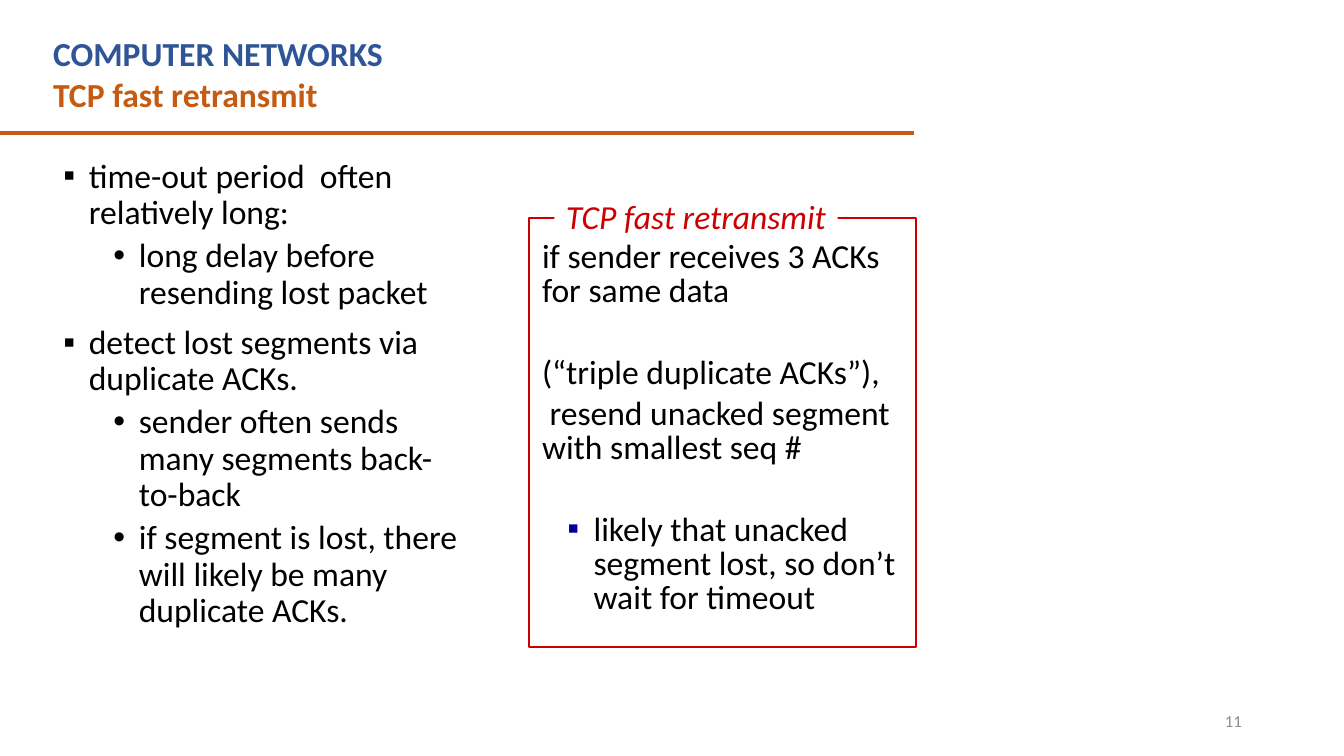
"""Build the TCP fast retransmit slide."""
from lxml.etree import SubElement
from pptx import Presentation
from pptx.dml.color import RGBColor
from pptx.enum.shapes import MSO_CONNECTOR as Connector, MSO_SHAPE as Shape
from pptx.enum.text import MSO_ANCHOR as Anchor, PP_ALIGN as Align
from pptx.oxml.ns import qn
from pptx.util import Cm, Pt

COLORS = {"blue": "2F5597", "orange": "C55A11", "red": "CC0000", "navy": "000099",
          "black": "000000", "gray": "8C8C8C", "white": "FFFFFF"}
FONT = "Calibri"
SUBJECT = "COMPUTER NETWORKS"
TOPIC = "TCP fast retransmit"
PAGE_NUMBER = "11"

REASONS = [
    ("point", "time-out period  often relatively long:"),
    ("detail", "long delay before resending lost packet"),
    ("point", "detect lost segments via duplicate ACKs."),
    ("detail", "sender often sends many segments back-to-back"),
    ("detail", "if segment is lost, there will likely be many duplicate ACKs."),
]
RULE = [
    ("opening", "if sender receives 3 ACKs for same data"),
    ("opening", "(“triple duplicate ACKs”),"),
    ("action", "resend unacked segment with smallest seq #"),
    ("outcome", "likely that unacked segment lost, so don’t wait for timeout"),
]
STYLES = {
    "plain": {},
    "point": {"margin": 0.64, "indent": -0.64, "spacing": 0.9, "before": 10, "bullet": "▪"},
    "detail": {"level": 1, "margin": 1.9, "indent": -0.64, "spacing": 0.9, "before": 5,
               "bullet": "•"},
    "opening": {"spacing": 0.85, "before": 34},
    "action": {"indent": 0.19, "spacing": 0.85, "before": 4.8},
    "outcome": {"level": 1, "margin": 1.3, "indent": -0.66, "spacing": 0.85, "before": 34,
                "bullet": "▪", "bullet_color": "navy"},
}


def rgb(name):
    return RGBColor.from_string(COLORS[name])


def style_paragraph(para, style, first):
    para.level = style.get("level", 0)
    props = para._p.get_or_add_pPr()
    props.set("marL", str(Cm(style.get("margin", 0))))
    props.set("indent", str(Cm(style.get("indent", 0))))
    para.line_spacing = style.get("spacing", 1.0)
    para.space_before = Pt(0 if first else style.get("before", 0))
    if "bullet" in style:
        if "bullet_color" in style:
            tint = SubElement(props, qn("a:buClr"))
            SubElement(tint, qn("a:srgbClr")).set("val", COLORS[style["bullet_color"]])
        SubElement(props, qn("a:buFont")).set("typeface", "Arial")
        SubElement(props, qn("a:buChar")).set("char", style["bullet"])


def write(box, lines, color="black", size=24, bold=False, italic=False,
          align=Align.LEFT, anchor=Anchor.TOP, wrap=True):
    frame = box.text_frame
    frame.word_wrap = wrap
    frame.vertical_anchor = anchor
    frame.text = "\n".join(text for _, text in lines)
    for index, (para, (kind, _)) in enumerate(zip(frame.paragraphs, lines)):
        style_paragraph(para, STYLES[kind], index == 0)
        para.alignment = align
        for span in para.runs:
            span.font.name = FONT
            span.font.size = Pt(size)
            span.font.bold = bold
            span.font.italic = italic
            span.font.color.rgb = rgb(color)


def add_text(page, place, lines, **looks):
    write(page.shapes.add_textbox(*map(Cm, place)), lines, **looks)


def add_box(page, place, fill=None, line=None):
    box = page.shapes.add_shape(Shape.RECTANGLE, *map(Cm, place))
    box.shadow.inherit = False
    if fill:
        box.fill.solid()
        box.fill.fore_color.rgb = rgb(fill)
    else:
        box.fill.background()
    if line:
        box.line.color.rgb = rgb(line)
        box.line.width = Pt(1.5)
    else:
        box.line.fill.background()
    return box


def main():
    deck = Presentation()
    deck.slide_width, deck.slide_height = Cm(33.87), Cm(19.05)
    page = deck.slides.add_slide(deck.slide_layouts[6])

    add_text(page, (1.09, 0.71, 20.83, 1.27), [("plain", SUBJECT)], color="blue", bold=True)
    add_text(page, (1.09, 1.73, 22.23, 1.27), [("plain", TOPIC)], color="orange", bold=True)
    divider = page.shapes.add_connector(Connector.STRAIGHT, Cm(0), Cm(3.36), Cm(23.04), Cm(3.36))
    divider.line.color.rgb = rgb("orange")
    divider.line.width = Pt(3)
    SubElement(divider._element.spPr, qn("a:effectLst"))

    add_text(page, (1.35, 3.89, 10.59, 12.9), REASONS)

    write(add_box(page, (13.41, 5.94, 9.63, 12.19), fill="white"), RULE)
    add_box(page, (13.34, 5.49, 9.75, 10.82), line="red")
    write(add_box(page, (13.97, 4.8, 7.14, 1.27), fill="white"), [("plain", TOPIC)],
          color="red", italic=True, align=Align.CENTER, wrap=False)

    add_text(page, (23.93, 17.65, 7.62, 1.02), [("plain", PAGE_NUMBER)], color="gray",
             size=12, align=Align.RIGHT, anchor=Anchor.MIDDLE)
    deck.save("out.pptx")


if __name__ == "__main__":
    main()
